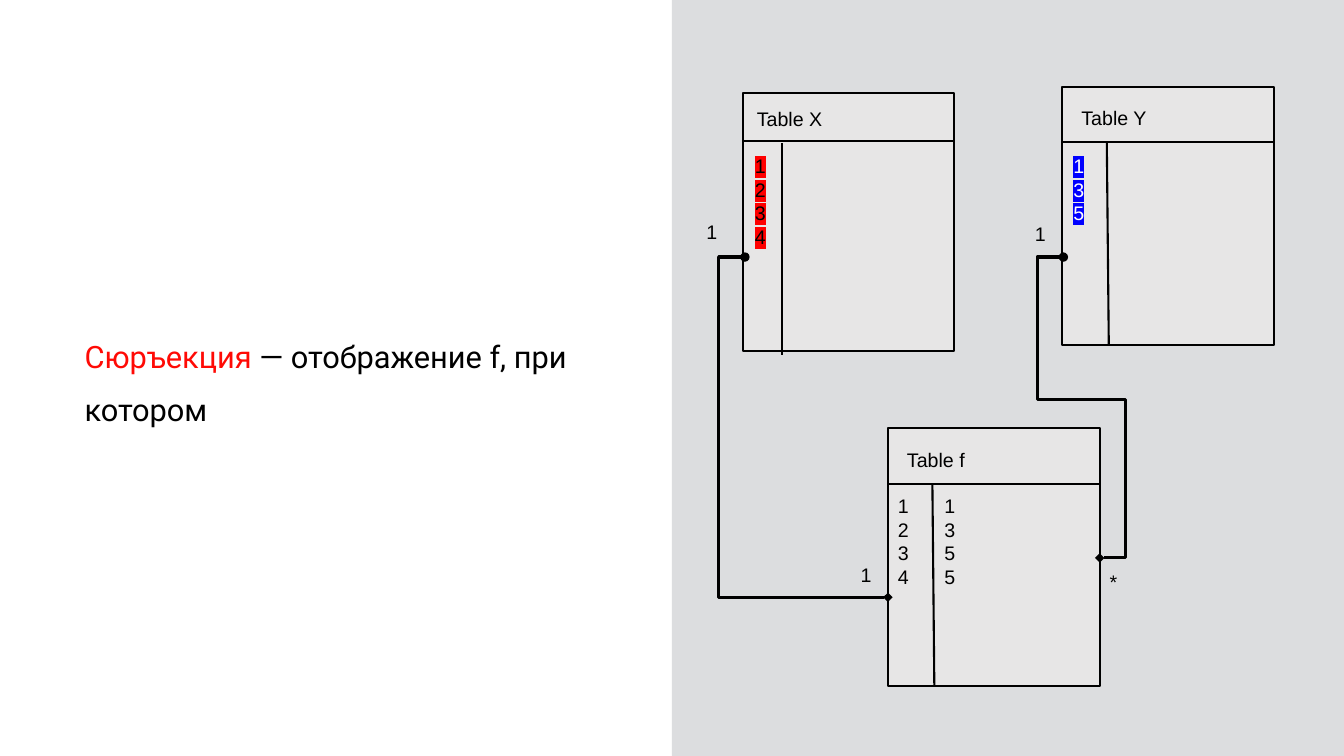
from dataclasses import dataclass

from lxml.etree import SubElement
from pptx import Presentation
from pptx.dml.color import RGBColor
from pptx.enum.shapes import MSO_CONNECTOR, MSO_SHAPE
from pptx.enum.text import MSO_ANCHOR
from pptx.oxml.ns import qn
from pptx.util import Pt

COLORS = {
    "panel": "DCDDDF", "table": "E7E6E6", "ink": "000000", "white": "FFFFFF",
    "term": "FF0A05", "x_keys": "FF0000", "y_keys": "0000FF",
}


@dataclass(frozen=True)
class Run:
    text: str
    color: str = "ink"
    highlight: str = ""
    size: float = 14
    font: str = "Arial"


@dataclass(frozen=True)
class Column:
    """Values of one column; dx, dy are measured from the table corner."""
    values: str
    dx: float
    dy: float
    color: str = "ink"
    highlight: str = ""


@dataclass(frozen=True)
class EntityTable:
    name: str
    x: float
    y: float
    columns: tuple[Column, ...]
    title: tuple[float, float] = (6.5, 6.5)
    rule: float = 39.6
    divider: tuple[float, float, float, float] = (31.7, 39.6, 33.1, 184.3)


@dataclass(frozen=True)
class Relation:
    points: tuple[float, float, float, float]
    preset: str
    adjustments: tuple[int, ...]


@dataclass(frozen=True)
class Label:
    text: str
    x: float
    y: float


TABLE_W, TABLE_H = 151.2, 184.3
TABLES = (
    EntityTable("Table X", 530.6, 66.2,
                (Column("1234", 1.5, 36.8, highlight="x_keys"),),
                title=(2.9, 2.9), rule=34.6, divider=(28.1, 36, 28.1, 187.2)),
    EntityTable("Table Y", 758.9, 61.9,
                (Column("135", 0.7, 41.1, "white", "y_keys"),)),
    EntityTable("Table f", 634.3, 306,
                (Column("1234", 0, 39.6), Column("1355", 33.1, 39.6))),
)
RELATIONS = (
    Relation((532.1, 183.6, 634.3, 426.6), "bentConnector3", (-18400,)),
    Relation((759.6, 183.6, 785.5, 398.5), "bentConnector5", (-72200, 47300, 172300)),
)
LABELS = (
    Label("1", 497.5, 149.8), Label("1", 607.7, 394.6),
    Label("*", 785.5, 399.6), Label("1", 732.2, 151.2),
)


def rgb(name: str) -> RGBColor:
    return RGBColor.from_string(COLORS[name])


def add_rect(s, x: float, y: float, w: float, h: float, fill: str, outlined: bool):
    sp = s.shapes.add_shape(MSO_SHAPE.RECTANGLE, Pt(x), Pt(y), Pt(w), Pt(h))
    sp.shadow.inherit = False
    sp.fill.solid()
    sp.fill.fore_color.rgb = rgb(fill)
    if outlined:
        sp.line.color.rgb, sp.line.width = rgb("ink"), Pt(1.5)
    else:
        sp.line.fill.background()


def add_line(s, x1: float, y1: float, x2: float, y2: float,
             width: float = 1.5, kind=MSO_CONNECTOR.STRAIGHT):
    cx = s.shapes.add_connector(kind, Pt(x1), Pt(y1), Pt(x2), Pt(y2))
    cx.line.color.rgb, cx.line.width = rgb("ink"), Pt(width)
    SubElement(cx._element.spPr, qn("a:effectLst"))
    return cx


def add_relation(s, rel: Relation):
    """Draw an elbow line from an oval end to a diamond end."""
    cx = add_line(s, *rel.points, width=2.25, kind=MSO_CONNECTOR.ELBOW)
    geom = cx._element.spPr.find(qn("a:prstGeom"))
    geom.set("prst", rel.preset)
    guides = geom.find(qn("a:avLst"))
    for i, value in enumerate(rel.adjustments, 1):
        SubElement(guides, qn("a:gd"), name=f"adj{i}", fmla=f"val {value}")
    ln = cx.line._get_or_add_ln()
    for end, shape in {"headEnd": "oval", "tailEnd": "diamond"}.items():
        SubElement(ln, qn(f"a:{end}"), type=shape)


def add_run(p, run: Run):
    r = p.add_run()
    r.text = run.text
    r.font.color.rgb = rgb(run.color)
    if run.highlight:
        hl = SubElement(r._r.get_or_add_rPr(), qn("a:highlight"))
        SubElement(hl, qn("a:srgbClr"), val=COLORS[run.highlight])
    for attr, value in {"size": Pt(run.size), "name": run.font}.items():
        setattr(r.font, attr, value)


def add_text(s, x: float, y: float, w: float, h: float, paragraphs: list[list[Run]],
             inset_y: float = 7.2, anchor=MSO_ANCHOR.TOP, spacing: float = 1.0):
    tf = s.shapes.add_textbox(Pt(x), Pt(y), Pt(w), Pt(h)).text_frame
    frame = {
        "word_wrap": True, "vertical_anchor": anchor,
        "margin_left": Pt(7.2), "margin_right": Pt(7.2),
        "margin_top": Pt(inset_y), "margin_bottom": Pt(inset_y),
    }
    for attr, value in frame.items():
        setattr(tf, attr, value)
    for i, runs in enumerate(paragraphs):
        p = tf.add_paragraph() if i else tf.paragraphs[0]
        p.line_spacing = spacing
        for run in runs:
            add_run(p, run)


def add_entity_table(s, t: EntityTable):
    add_rect(s, t.x, t.y, TABLE_W, TABLE_H, "table", outlined=True)
    add_line(s, t.x + 0.7, t.y + t.rule, t.x + TABLE_W - 0.7, t.y + t.rule)
    x1, y1, x2, y2 = t.divider
    add_line(s, t.x + x1, t.y + y1, t.x + x2, t.y + y2)
    dx, dy = t.title
    add_text(s, t.x + dx, t.y + dy, 163.4, 33.1, [[Run(t.name)]])
    for c in t.columns:
        add_text(s, t.x + c.dx, t.y + c.dy, 43.9, 161.3,
                 [[Run(v, c.color, c.highlight)] for v in c.values])


def main():
    prs = Presentation()
    prs.slide_width, prs.slide_height = Pt(960), Pt(540)
    s = prs.slides.add_slide(prs.slide_layouts[6])
    add_rect(s, 480, 0, 480, 540, "panel", outlined=False)
    for table in TABLES:
        add_entity_table(s, table)
    for relation in RELATIONS:
        add_relation(s, relation)
    for label in LABELS:
        add_text(s, label.x, label.y, 51.8, 51.8, [[Run(label.text)]])
    definition = [Run("Сюръекция ", "term", size=22, font="Roboto"),
                  Run("— отображение f, при котором", size=22, font="Roboto")]
    add_text(s, 53.3, 54.7, 368.6, 426.2, [definition], inset_y=3.6,
             anchor=MSO_ANCHOR.MIDDLE, spacing=1.43)
    prs.save("out.pptx")


if __name__ == "__main__":
    main()
